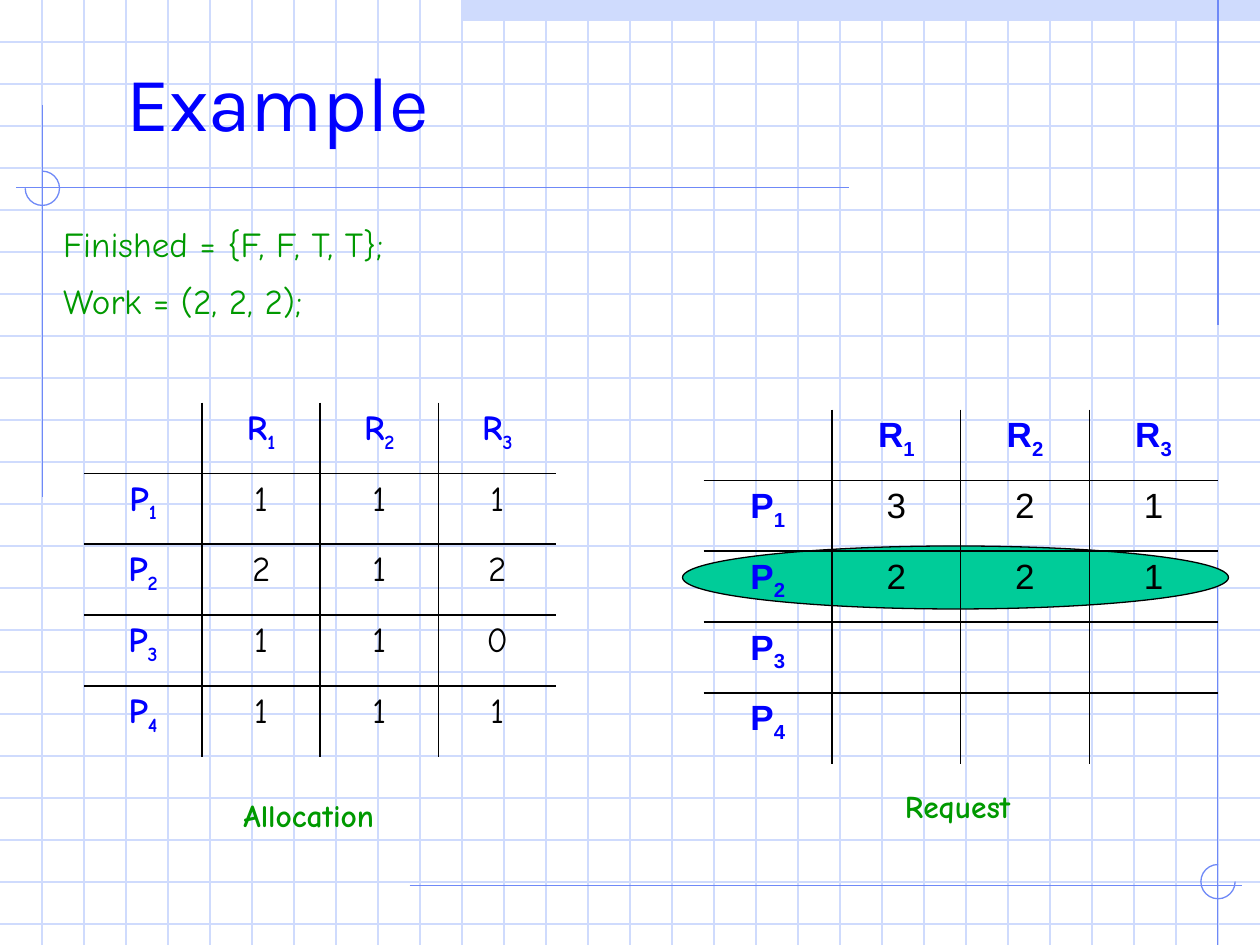
from lxml import etree
from pptx import Presentation
from pptx.dml.color import RGBColor
from pptx.enum import shapes, text
from pptx.oxml import ns
from pptx.util import Pt

GRID = RGBColor(0xCF, 0xDB, 0xFD)
ACCENT = RGBColor(0x6F, 0x89, 0xF7)
BLUE = RGBColor(0x00, 0x00, 0xFF)
GREEN = RGBColor(0x00, 0x99, 0x00)
TEAL = RGBColor(0x00, 0xCC, 0x99)
BLACK = RGBColor(0x00, 0x00, 0x00)
W, H, STEP = 720, 540, 24
NO_STYLE = "{2D5ABB26-0587-4C30-8999-92F81FD0307C}"

prs = Presentation()
prs.slide_width, prs.slide_height = Pt(W), Pt(H)
s = prs.slides.add_slide(prs.slide_layouts[1])
title, body = s.placeholders


def add_line(x1, y1, x2, y2, color):
    ln = s.shapes.add_connector(shapes.MSO_CONNECTOR.STRAIGHT, Pt(x1), Pt(y1), Pt(x2), Pt(y2))
    ln.line.color.rgb = color
    ln.line.width = Pt(0.75)
    etree.SubElement(ln._element.spPr, ns.qn("a:effectLst"))


def add_border(cell, side, visible):
    ln = etree.SubElement(cell._tc.get_or_add_tcPr(), ns.qn(f"a:ln{side}"), w=str(Pt(1)))
    if visible:
        fill = etree.SubElement(ln, ns.qn("a:solidFill"))
        etree.SubElement(fill, ns.qn("a:srgbClr"), val=str(BLACK))
    else:
        etree.SubElement(ln, ns.qn("a:noFill"))


bar = s.shapes.add_shape(shapes.MSO_SHAPE.RECTANGLE, Pt(264), 0, Pt(W - 264), Pt(12))
bar.shadow.inherit = False
bar.fill.solid()
bar.fill.fore_color.rgb = GRID
bar.line.fill.background()

for y in range(STEP, H, STEP):
    add_line(0, y, W, y, GRID)
for x in range(STEP, W, STEP):
    add_line(x, 0, x, H, GRID)

for ends in [(696, 0, 696, 186), (24.3, 60, 24.3, 284), (485, 107.3, 9, 107.3),
             (234, 506, 710, 506), (695.7, 320, 695.7, 546)]:
    add_line(*ends, ACCENT)

for x, y, start, end in [(14.4, 97.8, 270, 180), (686.2, 494, 0, 270)]:
    arc = s.shapes.add_shape(shapes.MSO_SHAPE.ARC, Pt(x), Pt(y), Pt(19.6), Pt(19.6))
    arc.shadow.inherit = False
    arc.adjustments[0], arc.adjustments[1] = start * 0.6, end * 0.6
    arc.fill.background()
    arc.line.color.rgb = ACCENT
    arc.line.width = Pt(0.75)

highlight = s.shapes.add_shape(shapes.MSO_SHAPE.OVAL, Pt(390), Pt(312), Pt(312), Pt(36))
highlight.shadow.inherit = False
highlight.fill.solid()
highlight.fill.fore_color.rgb = TEAL
highlight.line.color.rgb = BLACK
highlight.line.width = Pt(0.75)

for sp, box, anchor, lines, size, font, color in [
    (title, (72, 0, 612, 113), text.MSO_ANCHOR.MIDDLE, ["Example"], 44, "Karla", BLUE),
    (body, (36, 126, 648, 356), text.MSO_ANCHOR.TOP,
     ["Finished = {F, F, T, T};", "Work = (2, 2, 2);"], 20, "Comic Neue", GREEN),
]:
    s.shapes._spTree.append(sp._element)
    sp.left, sp.top, sp.width, sp.height = map(Pt, box)
    tf = sp.text_frame
    tf.text = "\n".join(lines)
    tf.auto_size = text.MSO_AUTO_SIZE.NONE
    tf.vertical_anchor = anchor
    tf.margin_left = tf.margin_right = tf.margin_top = tf.margin_bottom = 0
    for p in tf.paragraphs:
        p.alignment = text.PP_ALIGN.LEFT
        p.line_spacing = 1.04
        p.font.size, p.font.name, p.font.color.rgb = Pt(size), font, color

for p in body.text_frame.paragraphs:
    p.space_before = Pt(8)
    pPr = p._p.get_or_add_pPr()
    pPr.set("marL", str(Pt(27)))
    pPr.set("indent", str(Pt(-27)))
    pPr.insert_element_before(etree.Element(ns.qn("a:buNone")), "a:tabLst", "a:defRPr", "a:extLst")

HEADER = ["", "R1", "R2", "R3"]
ALLOCATION = [HEADER, ["P1", "1", "1", "1"], ["P2", "2", "1", "2"],
              ["P3", "1", "1", "0"], ["P4", "1", "1", "1"]]
REQUEST = [HEADER, ["P1", "3", "2", "1"], ["P2", "2", "2", "1"],
           ["P3", "", "", ""], ["P4", "", "", ""]]

for rows, x, y, col_w, font in [(ALLOCATION, 48, 230, 67.5, "Comic Neue"),
                                (REQUEST, 402, 234, 73.5, "Arial")]:
    n_rows, n_cols = len(rows), len(HEADER)
    frame = s.shapes.add_table(n_rows, n_cols, Pt(x), Pt(y), Pt(col_w * n_cols), Pt(40.5 * n_rows))
    tbl = frame.table
    tbl.first_row = tbl.horz_banding = False
    tbl._tbl.tblPr.find(ns.qn("a:tableStyleId")).text = NO_STYLE
    for i, row in enumerate(rows):
        for j, value in enumerate(row):
            cell = tbl.cell(i, j)
            add_border(cell, "L", j > 0)
            add_border(cell, "R", j < n_cols - 1)
            add_border(cell, "T", i > 0)
            add_border(cell, "B", i < n_rows - 1)
            cell.fill.background()
            label = i == 0 or j == 0
            p = cell.text_frame.paragraphs[0]
            p.alignment = text.PP_ALIGN.CENTER
            p.font.size, p.font.name, p.font.bold = Pt(20), font, label
            p.font.color.rgb = BLUE if label else BLACK
            for k, char in enumerate(value):
                r = p.add_run()
                r.text = char
                if k:
                    r.font._element.set("baseline", "-25000")

for caption, x, y, w in [("Allocation", 132, 444, 98.5), ("Request", 510, 439, 82)]:
    tf = s.shapes.add_textbox(Pt(x), Pt(y), Pt(w), Pt(29)).text_frame
    tf.word_wrap = False
    tf.text = caption
    p = tf.paragraphs[0]
    p.line_spacing = 1.34
    p.font.size, p.font.name, p.font.bold = Pt(18), "Comic Neue", True
    p.font.color.rgb = GREEN

prs.save("out.pptx")
